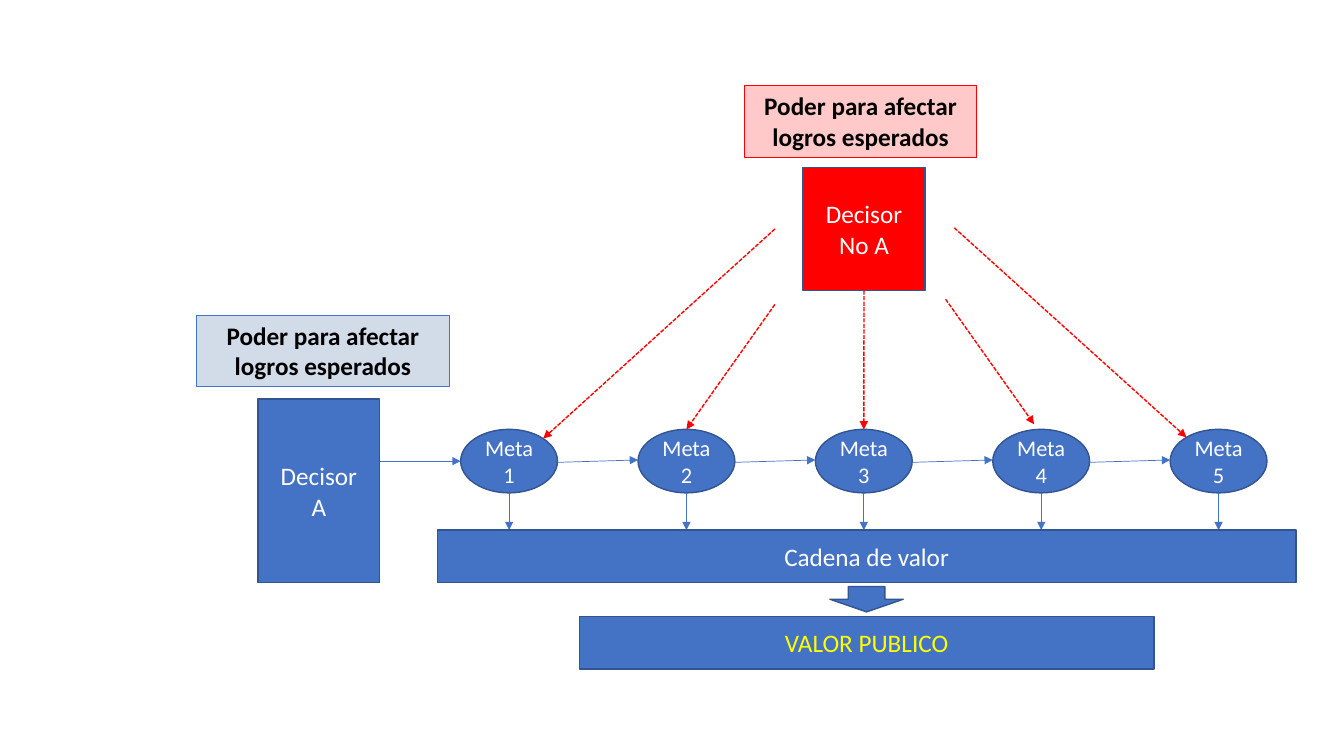
from lxml.etree import SubElement
from pptx import Presentation
from pptx.dml.color import RGBColor
from pptx.enum.dml import MSO_LINE
from pptx.enum.shapes import MSO_CONNECTOR, MSO_SHAPE
from pptx.enum.text import MSO_ANCHOR, PP_ALIGN
from pptx.oxml.ns import qn
from pptx.util import Cm, Pt

BLUE = RGBColor(0x44, 0x72, 0xC4)
DARK_BLUE = RGBColor(0x32, 0x54, 0x91)
LABEL_BLUE = RGBColor(0x2F, 0x55, 0x97)
RED = RGBColor(0xFF, 0x00, 0x00)
YELLOW = RGBColor(0xFF, 0xFF, 0x00)
WHITE = RGBColor(0xFF, 0xFF, 0xFF)
BLACK = RGBColor(0x00, 0x00, 0x00)

GOAL_COUNT = 5
GOAL_WIDTH = 2.44
LABEL_TEXT = "Poder para afectar logros esperados"


def add_box(slide, box, text="", kind=MSO_SHAPE.RECTANGLE, fill=BLUE,
            line=DARK_BLUE, line_width=1, size=18, color=WHITE, bold=False):
    """Draw a filled shape with centred text; box is left, top, width, height in cm."""
    shape = slide.shapes.add_shape(kind, *map(Cm, box))
    shape.shadow.inherit = False
    shape.fill.solid()
    shape.fill.fore_color.rgb = fill
    shape.line.color.rgb = line
    shape.line.width = Pt(line_width)
    frame = shape.text_frame
    frame.word_wrap = True
    frame.vertical_anchor = MSO_ANCHOR.MIDDLE
    frame.text = text
    for paragraph in frame.paragraphs:
        paragraph.alignment = PP_ALIGN.CENTER
        font = paragraph.font
        font.name, font.size, font.bold = "Calibri", Pt(size), bold
        font.color.rgb = color
    return shape


def add_arrow(slide, start, end, color=BLUE, width=0.5, dash=None):
    """Draw a straight arrow between two points in cm."""
    arrow = slide.shapes.add_connector(
        MSO_CONNECTOR.STRAIGHT, *map(Cm, (*start, *end)))
    arrow.line.color.rgb = color
    arrow.line.width = Pt(width)
    if dash:
        arrow.line.dash_style = dash
    SubElement(arrow.line._get_or_add_ln(), qn("a:tailEnd"), type="triangle")
    SubElement(arrow._element.spPr, qn("a:effectLst"))


def add_decision_maker(slide, box, text, fill, label_box, label_fill, label_line):
    """Draw a decision maker; label_box has its left and top relative to box."""
    left, top = box[:2]
    add_box(slide, box, text, fill=fill)
    offset_x, offset_y, width, height = label_box
    label = add_box(slide, (left + offset_x, top + offset_y, width, height),
                    LABEL_TEXT, fill=label_fill, line=label_line,
                    line_width=0.75, color=BLACK, bold=True)
    label.text_frame.vertical_anchor = MSO_ANCHOR.TOP
    color = label.fill._xPr.find(qn("a:solidFill"))[0]
    SubElement(color, qn("a:alpha"), val="21000")


def add_goals(slide, box, drop):
    """Draw the chained goals with arrows down; return their top centre points."""
    left, top, width, height = box
    pitch = (width - GOAL_WIDTH) / (GOAL_COUNT - 1)
    middle = top + height / 2
    tops = []
    for index in range(GOAL_COUNT):
        x = left + index * pitch
        center = x + GOAL_WIDTH / 2
        add_box(slide, (x, top, GOAL_WIDTH, height), f"Meta {index + 1}",
                MSO_SHAPE.OVAL, size=16)
        add_arrow(slide, (center, top + height), (center, top + height + drop))
        if index:
            add_arrow(slide, (x - pitch + GOAL_WIDTH, middle + 0.03),
                      (x, middle - 0.03))
        tops.append((center, top))
    return tops


def add_pressures(slide, box, goal_tops):
    """Draw dashed arrows from around the decision maker's box to each goal."""
    left, top, width, height = box
    starts = [(-0.71, 1.55), (-0.71, 3.45), (width / 2, height),
              (3.59, 3.32), (3.81, 1.52)]
    end_shifts = [(0.86, 0.23), (0, 0), (0, 0), (-0.18, -0.13), (-0.81, 0.2)]
    for start, goal, shift in zip(starts, goal_tops, end_shifts):
        add_arrow(slide, (left + start[0], top + start[1]),
                  (goal[0] + shift[0], goal[1] + shift[1]),
                  RED, 1, MSO_LINE.SQUARE_DOT)


def add_value_chain(slide, box):
    """Draw the value chain bar, the block arrow and the public value bar."""
    left, top, width, height = box
    bar_height, public_width, arrow_width = 1.32, 14.48, 1.85
    center = left + width / 2
    add_box(slide, (left, top, width, bar_height), "Cadena de valor")
    add_box(slide, (center - arrow_width / 2, top + bar_height + 0.1,
                    arrow_width, 0.64), kind=MSO_SHAPE.DOWN_ARROW)
    add_box(slide, (center - public_width / 2, top + height - bar_height,
                    public_width, bar_height), "VALOR PUBLICO", color=YELLOW)


def main():
    """Build the slide and save it."""
    presentation = Presentation()
    presentation.slide_width, presentation.slide_height = Cm(33.87), Cm(19.05)
    slide = presentation.slides.add_slide(presentation.slide_layouts[6])

    insider_box = (6.5, 10.06, 3.07, 4.62)
    outsider_box = (20.24, 4.22, 3.07, 3.1)
    goals_box = (11.61, 10.82, 20.32, 1.6)
    chain_box = (11.02, 13.36, 21.64, 3.5)

    add_decision_maker(slide, insider_box, "Decisor\nA", BLUE,
                       (-1.55, -2.11, 6.38, 1.8), LABEL_BLUE, BLUE)
    add_decision_maker(slide, outsider_box, "Decisor\nNo A", RED,
                       (-1.47, -2.06, 5.84, 1.8), RED, RED)
    goal_tops = add_goals(slide, goals_box, chain_box[1] - goals_box[1] - goals_box[3])
    middle = goals_box[1] + goals_box[3] / 2
    add_arrow(slide, (insider_box[0] + insider_box[2], middle), (goals_box[0], middle))
    add_pressures(slide, outsider_box, goal_tops)
    add_value_chain(slide, chain_box)
    presentation.save("out.pptx")


main()
